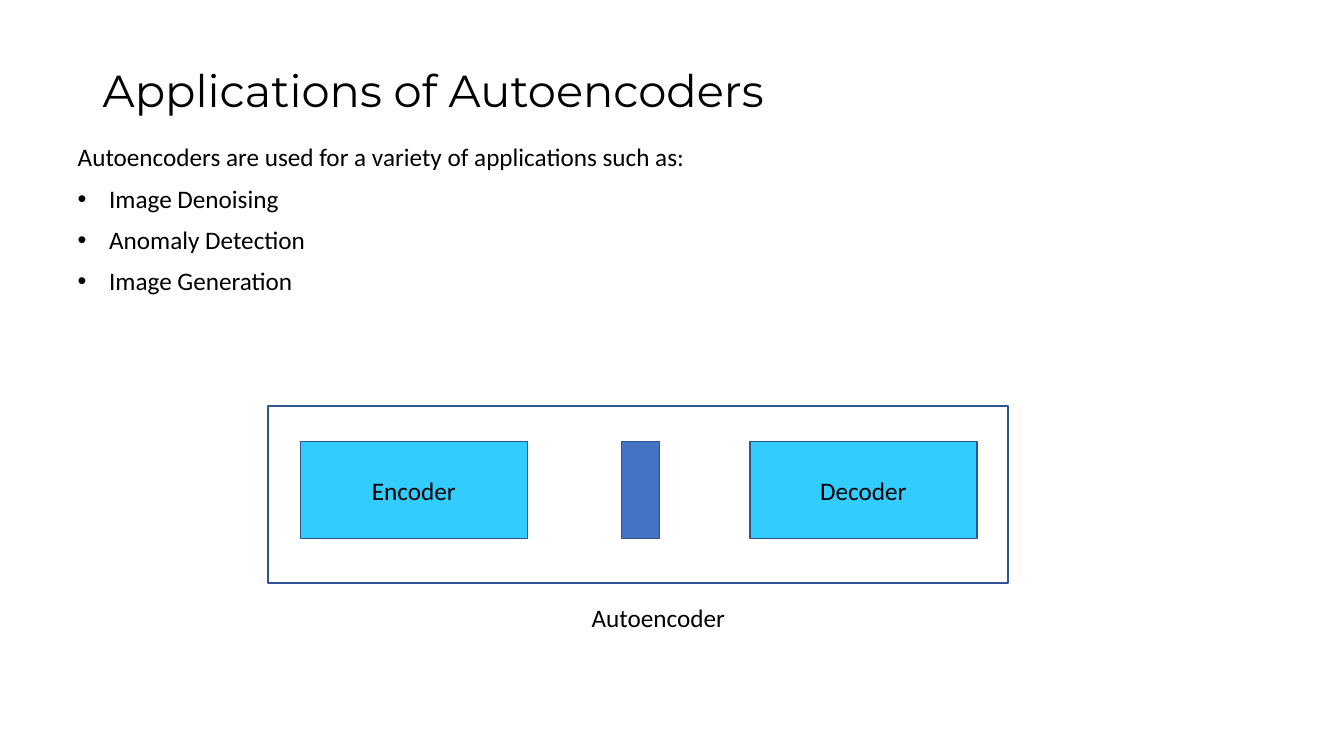
"""Build a slide on the applications of autoencoders."""
from lxml.etree import SubElement
from pptx import Presentation
from pptx.dml.color import RGBColor
from pptx.enum.shapes import MSO_SHAPE
from pptx.enum.text import MSO_ANCHOR, PP_ALIGN
from pptx.oxml.ns import qn
from pptx.util import Cm, Pt


def color(hex_string):
    return RGBColor.from_string(hex_string)


def write(shape, lines, size=18, font="Calibri", align=PP_ALIGN.LEFT):
    frame = shape.text_frame
    frame.word_wrap = True
    frame.text = "\n".join(lines)
    for paragraph in frame.paragraphs:
        paragraph.alignment = align
        paragraph.font.size = Pt(size)
        paragraph.font.name = font
        paragraph.font.color.rgb = color("000000")
    return frame


presentation = Presentation()
presentation.slide_width = Cm(33.87)
presentation.slide_height = Cm(19.05)
slide = presentation.slides.add_slide(presentation.slide_layouts[6])
shapes = slide.shapes

title = shapes.add_textbox(Cm(2.34), Cm(0.51), Cm(29.21), Cm(3.68))
title_frame = write(title, ["Applications of Autoencoders"], 32, "Montserrat")
title_frame.vertical_anchor = MSO_ANCHOR.MIDDLE
title_frame.paragraphs[0].line_spacing = 0.9

body = shapes.add_textbox(Cm(1.55), Cm(3.53), Cm(29.21), Cm(6.05))
body_frame = write(body, [
    "Autoencoders are used for a variety of applications such as:",
    "Image Denoising",
    "Anomaly Detection",
    "Image Generation",
])
for index, paragraph in enumerate(body_frame.paragraphs):
    paragraph.line_spacing = 0.9
    paragraph.space_before = Pt(10)
    properties = paragraph._p.get_or_add_pPr()
    properties.set("marL", str(Cm(0.95 if index else 0.16)))
    properties.set("indent", str(Cm(-0.79 if index else 0)))
    if index:
        bullet_font = SubElement(properties, qn("a:buFont"), typeface="Arial")
        bullet = SubElement(properties, qn("a:buChar"), char="•")
        properties.remove(bullet_font)
        properties.remove(bullet)
        properties.insert_element_before(bullet_font, "a:defRPr")
        properties.insert_element_before(bullet, "a:defRPr")

block_top, block_height = 11.13, 2.44
boxes = [
    ("Encoder", 7.57, block_top, 5.72, block_height, "33CCFF", 1),
    ("", 15.67, block_top, 0.95, block_height, "4472C4", 1),
    ("Decoder", 18.9, block_top, 5.72, block_height, "33CCFF", 1),
    ("", 6.76, 10.24, 18.64, 4.45, None, 1.5),
]
for label, left, top, width, height, fill, line_width in boxes:
    box = shapes.add_shape(MSO_SHAPE.RECTANGLE, Cm(left), Cm(top), Cm(width), Cm(height))
    box.shadow.inherit = False
    box.line.color.rgb = color("325491")
    box.line.width = Pt(line_width)
    if fill:
        box.fill.solid()
        box.fill.fore_color.rgb = color(fill)
    else:
        box.fill.background()
    if label:
        write(box, [label], align=PP_ALIGN.CENTER).vertical_anchor = MSO_ANCHOR.MIDDLE

caption = shapes.add_textbox(Cm(14.66), Cm(15.06), Cm(7.54), Cm(1.02))
write(caption, ["Autoencoder"])

presentation.save("out.pptx")
